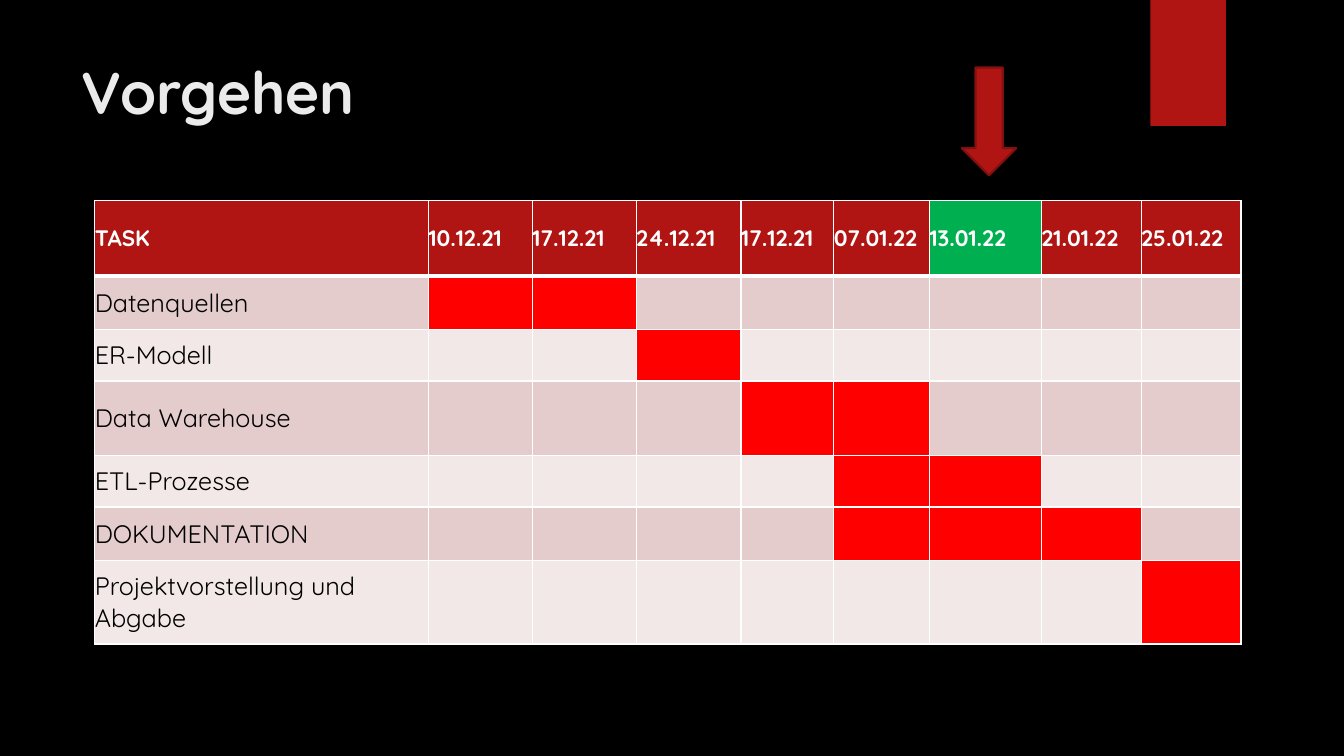
from lxml import etree
from pptx import Presentation
from pptx.dml.color import RGBColor
from pptx.enum.shapes import MSO_SHAPE as SHAPE
from pptx.enum.text import MSO_ANCHOR as ANCHOR
from pptx.oxml.ns import qn
from pptx.util import Inches, Pt

FONT = "Quicksand"
COLORS = {
    "background": "000000", "title": "EBEBEB", "accent": "B01513",
    "outline": "82100E", "today": "00B050", "active": "FF0000",
    "odd": "E4CCCC", "even": "F2E8E7", "white": "FFFFFF", "text": "000000",
}
DATES = ["10.12.21", "17.12.21", "24.12.21", "17.12.21",
         "07.01.22", "13.01.22", "21.01.22", "25.01.22"]
TODAY = "13.01.22"
# Task, row height, active date columns
TASKS = [
    ("Datenquellen", 0.53, (1, 2)),
    ("ER-Modell", 0.51, (3,)),
    ("Data Warehouse\u00a0", 0.74, (4, 5)),
    ("ETL-Prozesse", 0.51, (5, 6)),
    ("DOKUMENTATION", 0.53, (5, 6, 7)),
    ("Projektvorstellung und Abgabe", 0.83, (8,)),
]
COL_WIDTHS = [3.31, 1.03, 1.03, 1.04, 0.92, 0.95, 1.11, 0.99, 0.99]
HEADER_HEIGHT = 0.75


def rgb(name):
    return RGBColor.from_string(COLORS[name])


def style_text(tf, size, color, bold):
    for p in tf.paragraphs:
        for r in p.runs:
            r.font.name = FONT
            r.font.size = Pt(size)
            r.font.bold = bold
            r.font.color.rgb = rgb(color)


def add_borders(cell, bottom):
    tc_pr = cell._tc.get_or_add_tcPr()
    for side, width in (("L", 1), ("R", 1), ("T", 1), ("B", bottom)):
        ln = etree.SubElement(tc_pr, qn(f"a:ln{side}"), w=str(Pt(width)))
        fill = etree.SubElement(ln, qn("a:solidFill"))
        etree.SubElement(fill, qn("a:srgbClr"), val=COLORS["white"])


def style_cell(cell, fill, text="", size=18, color="text", bold=False, bottom=1):
    add_borders(cell, bottom)
    cell.fill.solid()
    cell.fill.fore_color.rgb = rgb(fill)
    cell.margin_left = cell.margin_right = 0
    cell.margin_top = cell.margin_bottom = 0
    cell.vertical_anchor = ANCHOR.MIDDLE
    if text:
        cell.text_frame.text = text
        style_text(cell.text_frame, size, color, bold)


def add_title(s, text, box):
    sp = s.shapes.title
    sp.left, sp.top, sp.width, sp.height = map(Inches, box)
    tf = sp.text_frame
    tf.text = text
    tf.word_wrap = True
    tf.vertical_anchor = ANCHOR.TOP
    tf.paragraphs[0].alignment = 1
    style_text(tf, 42, "title", True)


def add_block(s, kind, box, outline=None):
    sp = s.shapes.add_shape(kind, *map(Inches, box))
    sp.shadow.inherit = False
    sp.fill.solid()
    sp.fill.fore_color.rgb = rgb("accent")
    if outline:
        sp.line.color.rgb = rgb(outline)
        sp.line.width = Pt(1.5)
    else:
        sp.line.fill.background()


def add_schedule(s, left, top):
    heights = [HEADER_HEIGHT] + [height for _, height, _ in TASKS]
    frame = s.shapes.add_table(
        len(heights), len(COL_WIDTHS), Inches(left), Inches(top),
        Inches(sum(COL_WIDTHS)), Inches(sum(heights)))
    table = frame.table
    for col, width in zip(table.columns, COL_WIDTHS):
        col.width = Inches(width)
    for row, height in zip(table.rows, heights):
        row.height = Inches(height)

    # Header row
    for c, label in enumerate(["TASK"] + DATES):
        fill = "today" if label == TODAY else "accent"
        style_cell(table.cell(0, c), fill, label, 16, "white", True, bottom=3)

    # Task rows with their active periods
    for r, (task, _, active) in enumerate(TASKS, 1):
        band = "odd" if r % 2 else "even"
        style_cell(table.cell(r, 0), band, task)
        for c in range(1, len(COL_WIDTHS)):
            style_cell(table.cell(r, c), "active" if c in active else band)


def build_schedule_slide(prs):
    s = prs.slides.add_slide(prs.slide_layouts[5])
    s.background.fill.solid()
    s.background.fill.fore_color.rgb = rgb("background")
    # Ribbon at the top edge
    add_block(s, SHAPE.RECTANGLE, (11.41, 0, 0.75, 1.25))
    add_title(s, "Vorgehen", (0.71, 0.5, 10.29, 1.53))
    add_schedule(s, 0.94, 1.99)
    # Marker above the current date
    add_block(s, SHAPE.DOWN_ARROW, (9.54, 0.67, 0.54, 1.07), "outline")


prs = Presentation()
prs.slide_width, prs.slide_height = Inches(13.33), Inches(7.5)
build_schedule_slide(prs)
prs.save("out.pptx")
